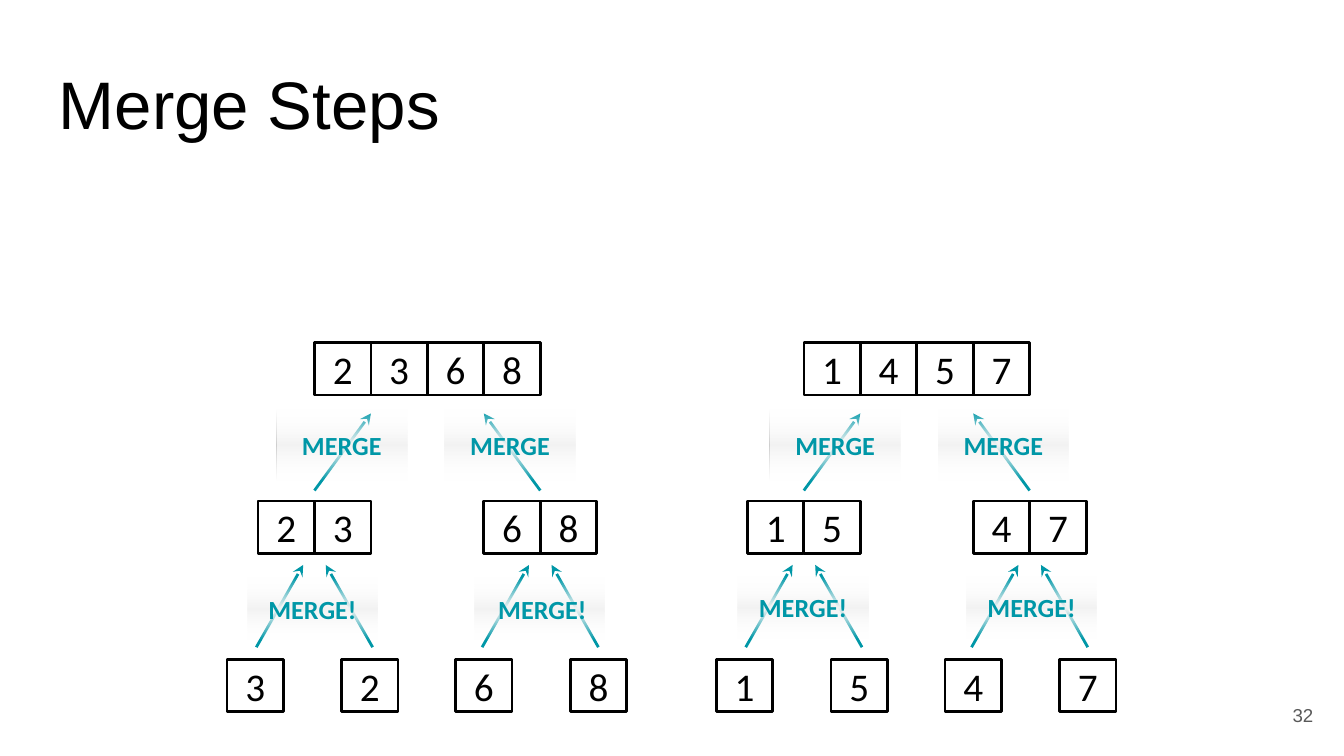
from lxml.etree import SubElement
from pptx import Presentation
from pptx.dml.color import RGBColor
from pptx.enum.shapes import MSO_CONNECTOR, MSO_SHAPE
from pptx.enum.text import MSO_ANCHOR, PP_ALIGN
from pptx.oxml import parse_xml
from pptx.oxml.ns import nsdecls, qn
from pptx.util import Inches, Pt

# A 16:9 page
deck = Presentation()
WIDTH = Inches(10)
HEIGHT = WIDTH * 9 // 16
deck.slide_width, deck.slide_height = WIDTH, HEIGHT
page = deck.slides.add_slide(deck.slide_layouts[6])

# Grid: one column and one row per number cell
LEFT, TOP = Inches(1.92), Inches(2.55)
COL, ROW = Inches(0.42), Inches(0.39)
HALF = 8.67  # columns from the left tree to the right tree
LEVEL = 3.02  # rows from one merge level to the next
TEAL = "0097A7"


def color(value):
    return RGBColor.from_string(value)


def add_text(text, left, top, width, height, size=21, font="Calibri", ink="000000",
             bold=False, align=PP_ALIGN.CENTER, fill=None, line=None):
    box = page.shapes.add_shape(MSO_SHAPE.RECTANGLE, int(left), int(top), int(width), int(height))
    box.shadow.inherit = False
    if fill:
        box.fill.solid()
        box.fill.fore_color.rgb = color(fill)
    else:
        box.fill.background()
    if line:
        box.line.color.rgb = color(line)
        box.line.width = Pt(1.5)
    else:
        box.line.fill.background()
    frame = box.text_frame
    frame.word_wrap = True
    frame.vertical_anchor = MSO_ANCHOR.MIDDLE
    frame.margin_left = frame.margin_right = frame.margin_top = frame.margin_bottom = Inches(0.1)
    para = frame.paragraphs[0]
    para.alignment = align
    span = para.add_run()
    span.text = text
    span.font.size, span.font.name, span.font.bold = Pt(size), font, bold
    span.font.color.rgb = color(ink)
    return box


# Title
add_text("Merge Steps", 0.034 * WIDTH, 0.073 * HEIGHT, 0.932 * WIDTH, 0.126 * HEIGHT,
         size=36, font="Arial", align=PP_ALIGN.LEFT)

# Arrows of one tree: tip column, tip row, base column, base row
arrows = [(2, 1.35, 1, 2.82), (4, 1.35, 5, 2.82)]
for center in (1, 5):
    for side in (-1, 1):
        arrows.append((center + 0.2 * side, 4.24, center + 1.03 * side, 5.81))

for shift in (0, HALF):
    for tip_col, tip_row, base_col, base_row in arrows:
        arrow = page.shapes.add_connector(
            MSO_CONNECTOR.STRAIGHT,
            int(LEFT + (tip_col + shift) * COL), int(TOP + tip_row * ROW),
            int(LEFT + (base_col + shift) * COL), int(TOP + base_row * ROW))
        arrow.line.color.rgb = color(TEAL)
        arrow.line.width = Pt(1.5)
        properties = arrow._element.spPr
        SubElement(properties.find(qn("a:ln")), qn("a:headEnd"), type="stealth")
        SubElement(properties, qn("a:effectLst"))

# Number cells: columns of each level, and the digits of both trees
levels = [
    ((1, 2, 3, 4), "2368", "1457"),
    ((0, 1, 4, 5), "2368", "1547"),
    ((-0.55, 1.48, 3.5, 5.53), "3268", "1547"),
]
for level, (columns, *trees) in enumerate(levels):
    for tree, digits in enumerate(trees):
        for column, digit in zip(columns, digits):
            add_text(digit, LEFT + (column + tree * HALF) * COL, TOP + level * LEVEL * ROW,
                     COL, ROW, fill="FFFFFF", line="000000")

# Merge labels on a soft grey band: text, column, row, rows high
labels = [("MERGE", column, 1.28, 1.36) for column in (0.33, 3.31, 9.07, 12.05)]
labels += [("MERGE!", -0.19, 4.49, 1.18), (" MERGE!", 3.83, 4.49, 1.18),
           ("MERGE!", 8.5, 4.46, 1.18), ("MERGE!", 12.55, 4.46, 1.18)]
CLEAR = '<a:srgbClr val="FFFFFF"><a:alpha val="0"/></a:srgbClr>'
BAND = (f'<a:gradFill {nsdecls("a")} rotWithShape="1"><a:gsLst>'
        f'<a:gs pos="0">{CLEAR}</a:gs>'
        '<a:gs pos="50000"><a:srgbClr val="F3F3F3"/></a:gs>'
        f'<a:gs pos="100000">{CLEAR}</a:gs>'
        '</a:gsLst><a:lin ang="5400000" scaled="0"/></a:gradFill>')
for text, column, row, rows in labels:
    label = add_text(text, LEFT + column * COL, TOP + row * ROW, 2.31 * COL, rows * ROW,
                     size=14, ink=TEAL, bold=True)
    properties = label._element.spPr
    properties.replace(properties.find(qn("a:noFill")), parse_xml(BAND))

# Page number
add_text("32", 0.927 * WIDTH, 0.907 * HEIGHT, 0.06 * WIDTH, 0.077 * HEIGHT,
         size=10, font="Arial", ink="595959", align=PP_ALIGN.RIGHT)

deck.save("out.pptx")
